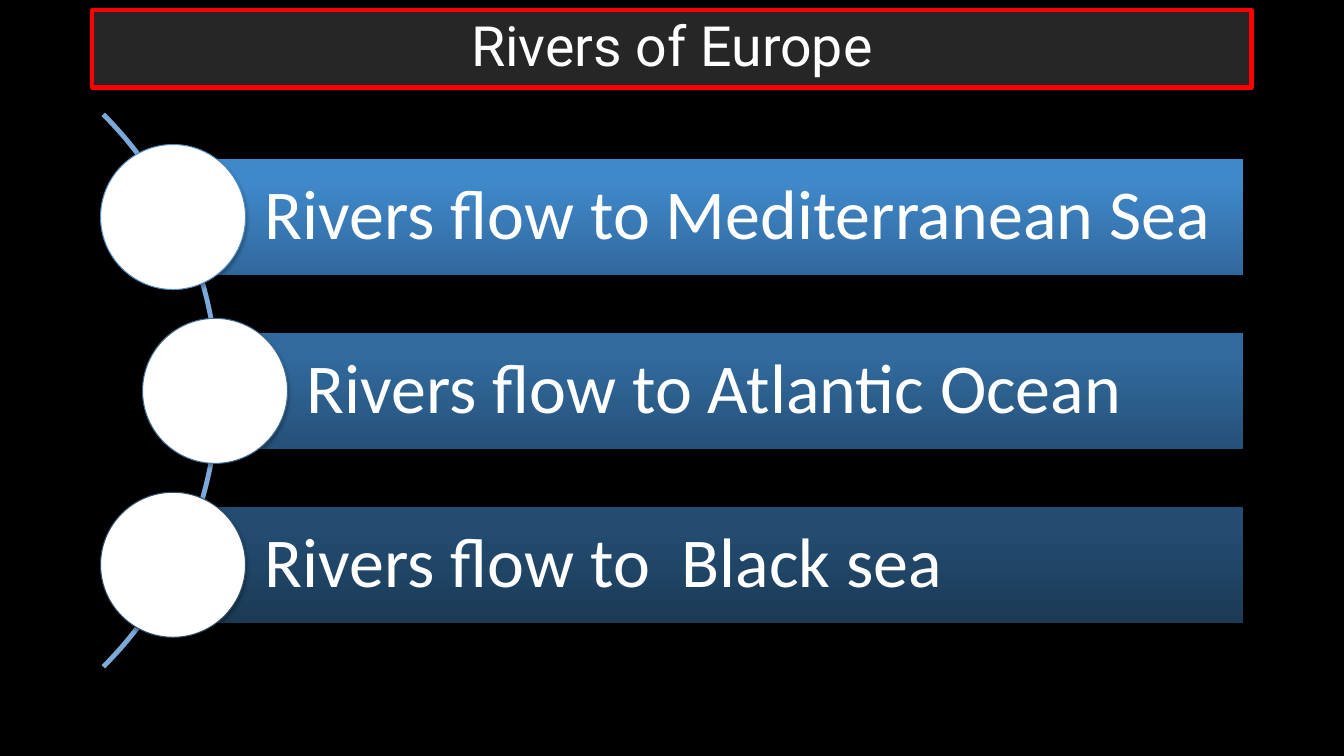
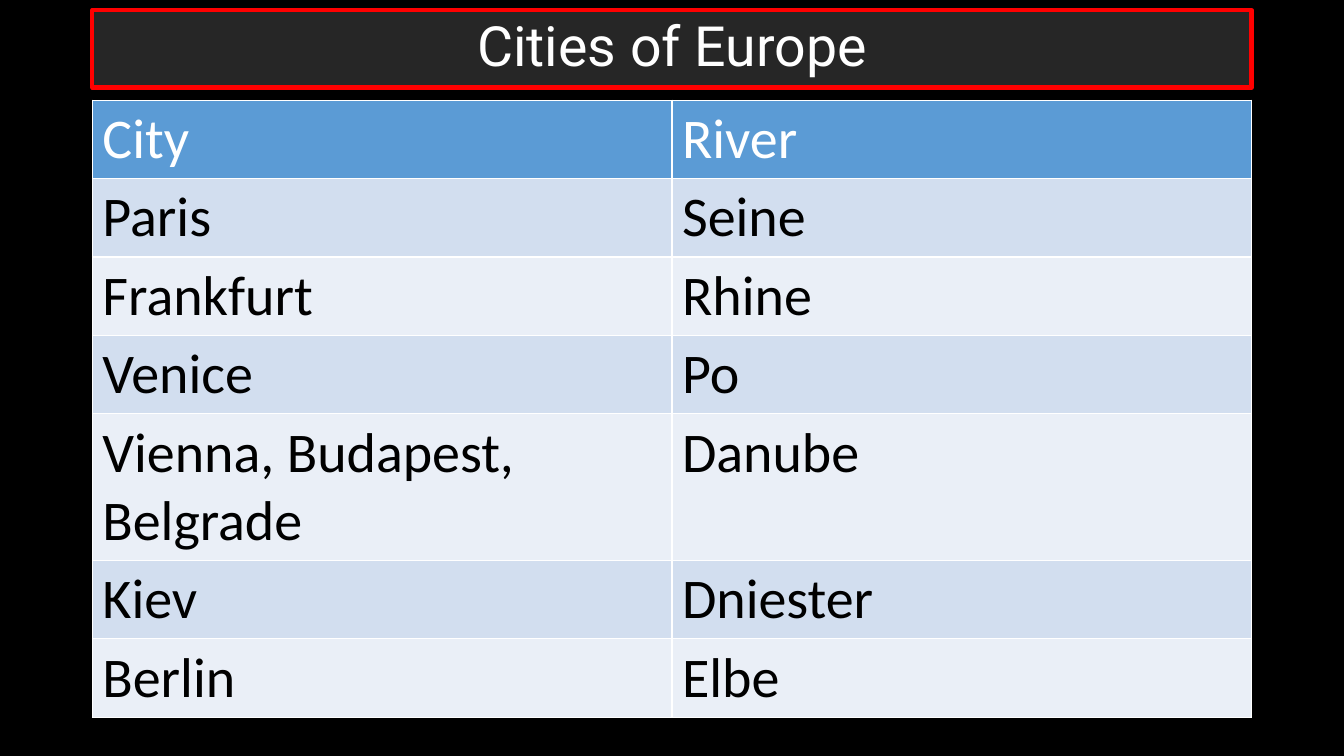
import math

from lxml import etree
from pptx import Presentation
from pptx.dml.color import RGBColor
from pptx.enum.shapes import MSO_SHAPE
from pptx.enum.text import MSO_ANCHOR, MSO_AUTO_SIZE, PP_ALIGN
from pptx.oxml import parse_xml
from pptx.util import Pt

RECT, OVAL = MSO_SHAPE.RECTANGLE, MSO_SHAPE.OVAL
MIDDLE, CENTER, LEFT = MSO_ANCHOR.MIDDLE, PP_ALIGN.CENTER, PP_ALIGN.LEFT
NS = "http://schemas.openxmlformats.org/drawingml/2006/main"

# Content
RIVERS_TITLE = "Rivers of Europe"
# text, x of the circle centre, brightness
SEAS = [
    ("Rivers flow to Mediterranean Sea", 123.6, 0.9),
    ("Rivers flow to Atlantic Ocean", 153.6, 0.7),
    ("Rivers flow to  Black sea", 123.6, 0.5),
]
CITIES_TITLE = "Cities of Europe"
CITIES = [
    ("City", "River"),
    ("Paris", "Seine"),
    ("Frankfurt", "Rhine"),
    ("Venice", "Po"),
    ("Vienna, Budapest, Belgrade", "Danube"),
    ("Kiev", "Dniester"),
    ("Berlin", "Elbe"),
]

# Shared style
COLORS = {
    "black": "000000", "white": "FFFFFF", "panel": "262626", "red": "FF0000",
    "blue": "5B9BD5", "arc": "7AA9DA", "bar_low": "3674AD", "bar_high": "4697E0",
    "row_odd": "D2DEEF", "row_even": "EAEFF7",
}
TITLE_FONT, BODY_FONT = "Roboto", "Calibri"
MARGIN, CONTENT_W = 66, 828

# Bars and circles
BAR_TOP, BAR_H, BAR_PITCH, BAR_RIGHT = 113.6, 82.8, 124.2, 888
CIRCLE_D = 103.6
ARC_X, ARC_Y, ARC_R = -123.5, 279, 279

# Table
TABLE_TOP, ROW_H, TALL_ROW_H, TALL_ROW = 71.6, 56, 104.8, 4


def rgb(name, factor=1):
    """Palette colour, darkened towards black by the factor."""
    return RGBColor(*(round(c * factor) for c in RGBColor.from_string(COLORS[name])))


def style_text(p, size, font, color, align=LEFT):
    p.alignment = align
    for r in p.runs:
        r.font.size, r.font.name, r.font.bold = Pt(size), font, False
        r.font.color.rgb = rgb(color)


def add_slide(prs, title):
    s = prs.slides.add_slide(prs.slide_layouts[5])
    sp = s.shapes.title
    sp.left, sp.top, sp.width, sp.height = Pt(MARGIN), Pt(7.2), Pt(CONTENT_W), Pt(55.4)
    sp.fill.solid()
    sp.fill.fore_color.rgb = rgb("panel")
    sp.line.color.rgb, sp.line.width = rgb("red"), Pt(3)
    tf = sp.text_frame
    tf.text = title
    tf.auto_size, tf.vertical_anchor = MSO_AUTO_SIZE.NONE, MIDDLE
    tf.paragraphs[0].line_spacing = 0.9
    style_text(tf.paragraphs[0], 39.6, TITLE_FONT, "white", CENTER)
    return s


def add_shadow(sp):
    sp.shadow.inherit = False
    effects = sp._element.spPr.find(f"{{{NS}}}effectLst")
    effects.append(parse_xml(
        f'<a:outerShdw xmlns:a="{NS}" blurRad="{Pt(3.1)}" dist="{Pt(1.8)}" '
        f'dir="5400000" rotWithShape="0"><a:srgbClr val="{COLORS["black"]}">'
        '<a:alpha val="35000"/></a:srgbClr></a:outerShdw>'))


def add_arc(s):
    """Quarter circle behind the row markers."""
    points = [(Pt(ARC_X + ARC_R * math.cos(math.radians(a))),
               Pt(ARC_Y + ARC_R * math.sin(math.radians(a))))
              for a in range(-45, 46)]
    builder = s.shapes.build_freeform(*points[0])
    builder.add_line_segments(points[1:], close=False)
    sp = builder.convert_to_shape()
    sp.shadow.inherit = False
    sp.fill.background()
    sp.line.color.rgb, sp.line.width = rgb("arc"), Pt(3.5)


def add_bar(s, text, x, y, factor):
    sp = s.shapes.add_shape(RECT, Pt(x), Pt(y), Pt(BAR_RIGHT - x), Pt(BAR_H))
    add_shadow(sp)
    sp.fill.gradient()
    sp.fill.gradient_angle = 90
    low, high = sp.fill.gradient_stops
    low.color.rgb, low.position = rgb("bar_low", factor), 0
    high.color.rgb, high.position = rgb("bar_high", factor), 0.8
    sp.line.fill.background()
    tf = sp.text_frame
    tf.text = text
    tf.word_wrap, tf.vertical_anchor = True, MIDDLE
    tf.margin_left = Pt(65.5)
    tf.margin_right = tf.margin_top = tf.margin_bottom = Pt(10)
    tf.paragraphs[0].line_spacing = 0.9
    style_text(tf.paragraphs[0], 50, BODY_FONT, "white")


def add_circle(s, x, y, factor):
    sp = s.shapes.add_shape(OVAL, Pt(x - CIRCLE_D / 2), Pt(y - CIRCLE_D / 2),
                            Pt(CIRCLE_D), Pt(CIRCLE_D))
    add_shadow(sp)
    sp.fill.solid()
    sp.fill.fore_color.rgb = rgb("white")
    sp.line.color.rgb, sp.line.width = rgb("blue", factor), Pt(0.75)


def add_borders(cell):
    tc_pr = cell._tc.get_or_add_tcPr()
    for i, side in enumerate(("lnL", "lnR", "lnT", "lnB")):
        ln = etree.Element(f"{{{NS}}}{side}", w=str(Pt(1)))
        fill = etree.SubElement(ln, f"{{{NS}}}solidFill")
        etree.SubElement(fill, f"{{{NS}}}srgbClr", val=COLORS["white"])
        tc_pr.insert(i, ln)


def add_cities_table(s):
    heights = [TALL_ROW_H if i == TALL_ROW else ROW_H for i in range(len(CITIES))]
    table = s.shapes.add_table(len(CITIES), len(CITIES[0]), Pt(MARGIN), Pt(TABLE_TOP),
                               Pt(CONTENT_W), Pt(sum(heights))).table
    for i, row in enumerate(CITIES):
        table.rows[i].height = Pt(heights[i])
        fill = "blue" if i == 0 else "row_odd" if i % 2 else "row_even"
        for j, text in enumerate(row):
            cell = table.cell(i, j)
            cell.text = text
            cell.fill.solid()
            cell.fill.fore_color.rgb = rgb(fill)
            style_text(cell.text_frame.paragraphs[0], 40, BODY_FONT,
                       "black" if i else "white")
            add_borders(cell)


def main():
    prs = Presentation()
    prs.slide_width, prs.slide_height = Pt(960), Pt(540)
    background = prs.slide_master.background.fill
    background.solid()
    background.fore_color.rgb = rgb("black")

    # Rivers
    s = add_slide(prs, RIVERS_TITLE)
    add_arc(s)
    for i, (text, x, factor) in enumerate(SEAS):
        y = BAR_TOP + i * BAR_PITCH
        add_bar(s, text, x, y, factor)
        add_circle(s, x, y + BAR_H / 2, factor)

    # Cities
    s = add_slide(prs, CITIES_TITLE)
    add_cities_table(s)

    prs.save("out.pptx")


if __name__ == "__main__":
    main()
